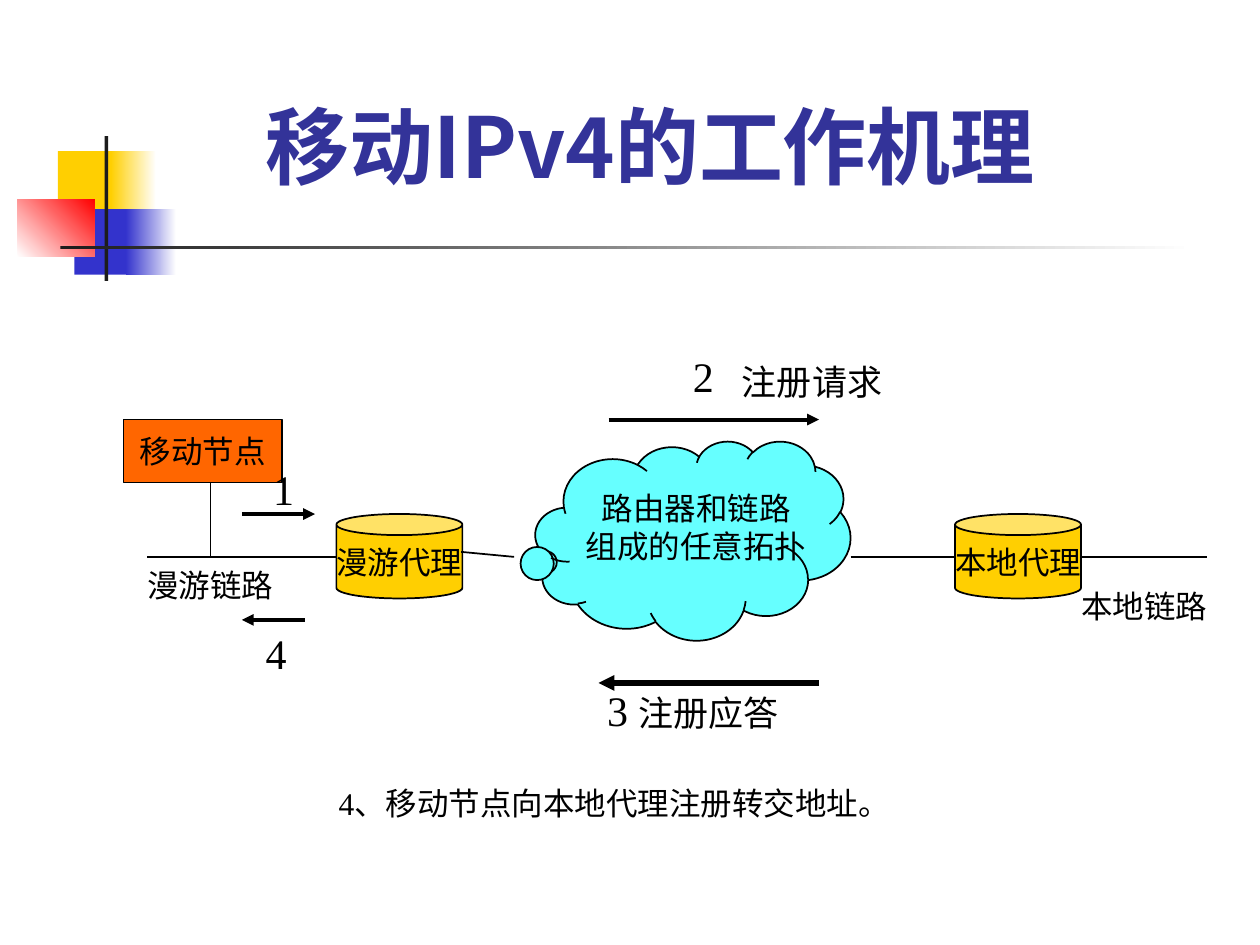
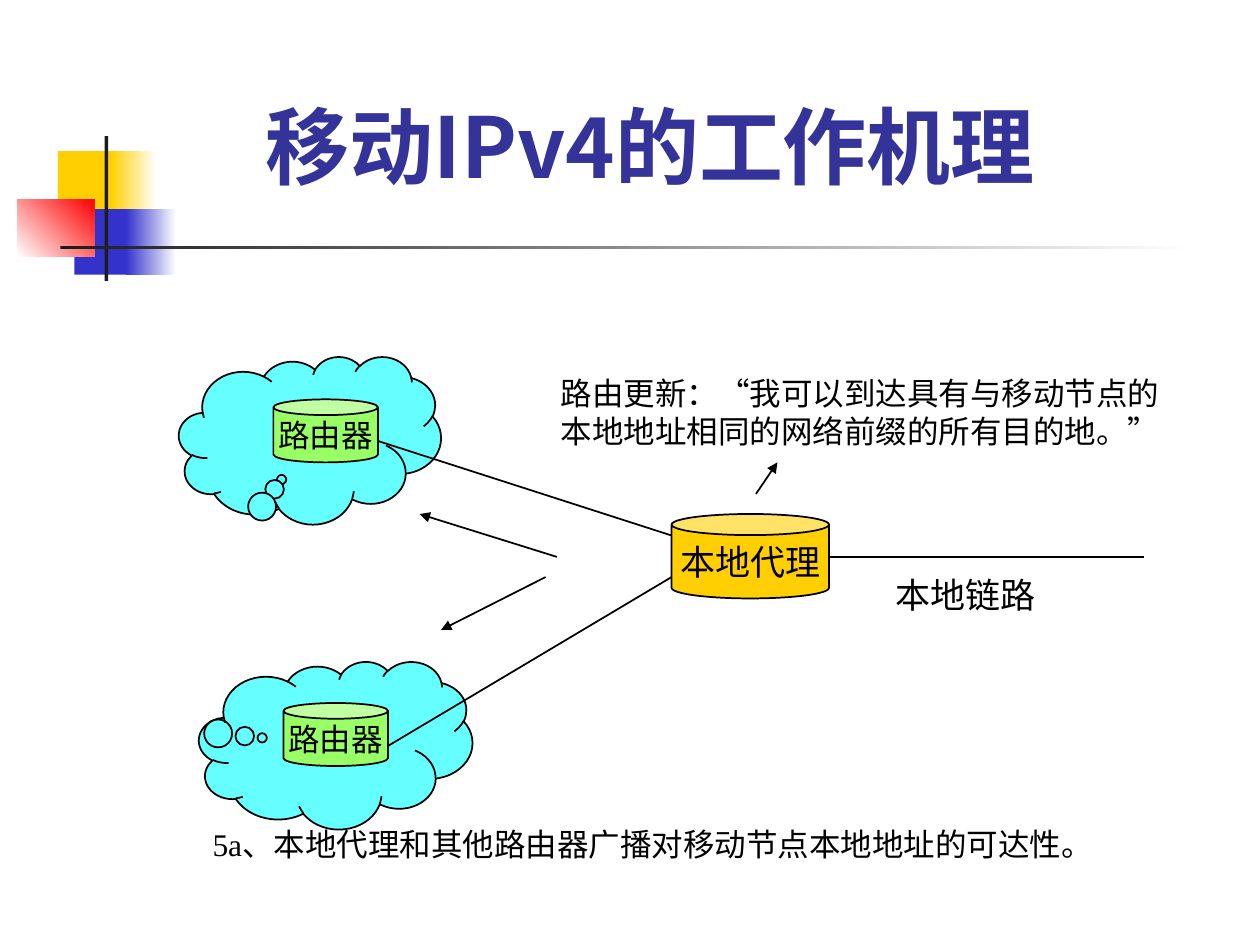
"""Build two slides on how Mobile IPv4 works: registration and route update."""
from lxml import etree
from pptx import Presentation
from pptx.dml.color import RGBColor
from pptx.enum.shapes import MSO_CONNECTOR, MSO_SHAPE
from pptx.enum.text import MSO_ANCHOR, MSO_AUTO_SIZE, PP_ALIGN
from pptx.oxml.ns import qn
from pptx.util import Inches, Pt

RECT, CAN, CLOUD = MSO_SHAPE.RECTANGLE, MSO_SHAPE.CAN, MSO_SHAPE.CLOUD_CALLOUT
STRAIGHT = MSO_CONNECTOR.STRAIGHT
CENTER = PP_ALIGN.CENTER
MIDDLE, BOTTOM = MSO_ANCHOR.MIDDLE, MSO_ANCHOR.BOTTOM
NO_FIT, GROW = MSO_AUTO_SIZE.NONE, MSO_AUTO_SIZE.SHAPE_TO_FIT_TEXT

rgb = RGBColor.from_string
BLACK, WHITE, DARK, TITLE = "000000", "FFFFFF", "1C1C1C", "333399"
GOLD, BLUE, RED = "FFCF01", "3333CC", "FF0000"
CYAN, GREEN, ORANGE = "66FFFF", "99FF66", "FF6600"
TITLE_FONT, BODY_FONT = "Noto Sans CJK JP", "Times New Roman"

BAND = [
    ((0.46, 1.2, 0.48, 0.52), [GOLD], 0),
    ((0.88, 1.2, 0.36, 0.52), [GOLD, WHITE], 0),
    ((0.59, 1.66, 0.46, 0.52), [BLUE], 0),
    ((1, 1.66, 0.4, 0.52), [BLUE, WHITE], 0),
    ((0.14, 1.58, 0.61, 0.46), [WHITE, RED], 45),
    ((0.83, 1.08, 0.03, 1.15), [DARK], 0),
    ((0.48, 1.95, 9, 0.03), [DARK, WHITE], 0),
]


def add_box(s, kind, box, fill=None, text="", size=18):
    """Add an outlined shape, or a text box when kind is None."""
    at = [Inches(v) for v in box]
    if kind is None:
        sp = s.shapes.add_textbox(*at)
        sp.text_frame.auto_size = GROW
    else:
        sp = s.shapes.add_shape(kind, *at)
        sp.shadow.inherit = False
        sp.fill.solid()
        sp.fill.fore_color.rgb = rgb(fill)
        sp.line.color.rgb = rgb(BLACK)
        sp.line.width = Pt(1)
        sp.text_frame.vertical_anchor = MIDDLE
    tf = sp.text_frame
    tf.word_wrap = False
    tf.text = text
    for p in tf.paragraphs:
        p.alignment = CENTER
        p.font.name, p.font.size = BODY_FONT, Pt(size)
        p.font.color.rgb = rgb(BLACK)
    return sp


def add_line(s, start, end, width=1, arrow=False):
    """Add a straight black line, with an arrowhead at its end if asked."""
    cx = s.shapes.add_connector(STRAIGHT, *[Inches(v) for v in start + end])
    cx.line.color.rgb = rgb(BLACK)
    cx.line.width = Pt(width)
    spPr = cx._element.spPr
    if arrow:
        etree.SubElement(spPr.find(qn("a:ln")), qn("a:tailEnd"), type="triangle")
    etree.SubElement(spPr, qn("a:effectLst"))


prs = Presentation()
prs.slide_width, prs.slide_height = Inches(10), Inches(7.5)

for _ in range(2):
    s = prs.slides.add_slide(prs.slide_layouts[5])
    for box, colors, angle in BAND:
        sp = s.shapes.add_shape(RECT, *[Inches(v) for v in box])
        sp.shadow.inherit = False
        sp.line.fill.background()
        if len(colors) == 1:
            sp.fill.solid()
            sp.fill.fore_color.rgb = rgb(colors[0])
        else:
            sp.fill.gradient()
            sp.fill.gradient_angle = angle
            for stop, color in zip(sp.fill.gradient_stops, colors):
                stop.color.rgb = rgb(color)
    title = s.shapes.title
    title.left, title.top = Inches(0.9), Inches(0)
    title.width, title.height = Inches(8.52), Inches(1.6)
    tf = title.text_frame
    tf.text = "移动IPv4的工作机理"
    tf.auto_size, tf.vertical_anchor = NO_FIT, BOTTOM
    p = tf.paragraphs[0]
    p.alignment = CENTER
    p.font.name, p.font.size, p.font.bold = TITLE_FONT, Pt(48), True
    p.font.color.rgb = rgb(TITLE)

registration, route_update = prs.slides

s = registration
for left, label in [(2.67, "漫游代理"), (7.58, "本地代理")]:
    add_box(s, CAN, (left, 4.08, 1, 0.67), GOLD, label)
cloud = add_box(s, CLOUD, (4.25, 3.5, 2.5, 1.58), CYAN)
cloud.adjustments[0], cloud.adjustments[1] = -0.475, 0.111
add_box(s, RECT, (0.98, 3.33, 1.26, 0.5), ORANGE, "移动节点")

for start, end in [
    ((1.17, 4.42), (2.67, 4.42)),
    ((3.66, 4.38), (4.08, 4.42)),
    ((6.75, 4.42), (7.58, 4.42)),
    ((8.58, 4.42), (9.58, 4.42)),
    ((1.67, 3.83), (1.67, 4.42)),
]:
    add_line(s, start, end)
for start, end, width in [
    ((1.92, 4.08), (2.5, 4.08), 2.25),
    ((2.42, 4.92), (1.92, 4.92), 2.25),
    ((4.83, 3.33), (6.5, 3.33), 2.25),
    ((6.5, 5.42), (4.75, 5.42), 3),
]:
    add_line(s, start, end, width, arrow=True)

for box, text, size in [
    ((1.07, 4.44, 1.2, 0.4), "漫游链路", 18),
    ((4.55, 3.83, 1.95, 0.7), "路由器和链路\n组成的任意拓扑", 18),
    ((8.48, 4.61, 1.2, 0.4), "本地链路", 18),
    ((2.07, 3.63, 0.36, 0.5), "1", 24),
    ((2.01, 4.93, 0.36, 0.5), "4", 24),
    ((5.4, 2.73, 0.36, 0.5), "2", 24),
    ((5.79, 2.81, 1.31, 0.44), "注册请求", 20),
    ((2.56, 6.17, 4.63, 0.4), "4、移动节点向本地代理注册转交地址。", 18),
]:
    add_box(s, None, box, text=text, size=size)
reply = add_box(s, None, (4.68, 5.38, 1.64, 0.5), text="3 ", size=24)
r = reply.text_frame.paragraphs[0].add_run()
r.text = "注册应答"
r.font.size = Pt(20)

s = route_update
for box, tip in [
    ((1.42, 2.83, 2.08, 1.33), (-0.108, 0.234)),
    ((1.58, 5.25, 2.17, 1.33), (-0.269, -0.044)),
]:
    cloud = add_box(s, CLOUD, box, CYAN)
    cloud.adjustments[0], cloud.adjustments[1] = tip
for left, top in [(2.17, 3.17), (2.25, 5.58)]:
    add_box(s, CAN, (left, top, 0.83, 0.5), GREEN, "路由器")
add_box(s, CAN, (5.33, 4.08, 1.25, 0.67), GOLD, "本地代理", 20)

for start, end, arrow in [
    ((3, 3.5), (5.33, 4.25), False),
    ((3.08, 5.92), (5.33, 4.58), False),
    ((6.58, 4.42), (9.08, 4.42), False),
    ((4.42, 4.42), (3.33, 4.08), True),
    ((4.33, 4.58), (3.5, 5), True),
    ((6, 3.92), (6.17, 3.67), True),
]:
    add_line(s, start, end, arrow=arrow)

for box, text, size in [
    ((7.01, 4.5, 1.31, 0.44), "本地链路", 20),
    ((1.56, 6.5, 7.24, 0.4), "5a、本地代理和其他路由器广播对移动节点本地地址的可达性。", 18),
    ((4.35, 2.92, 4.95, 0.7),
     "路由更新：“我可以到达具有与移动节点的\n本地地址相同的网络前缀的所有目的地。”", 18),
]:
    add_box(s, None, box, text=text, size=size)

prs.save("out.pptx")
